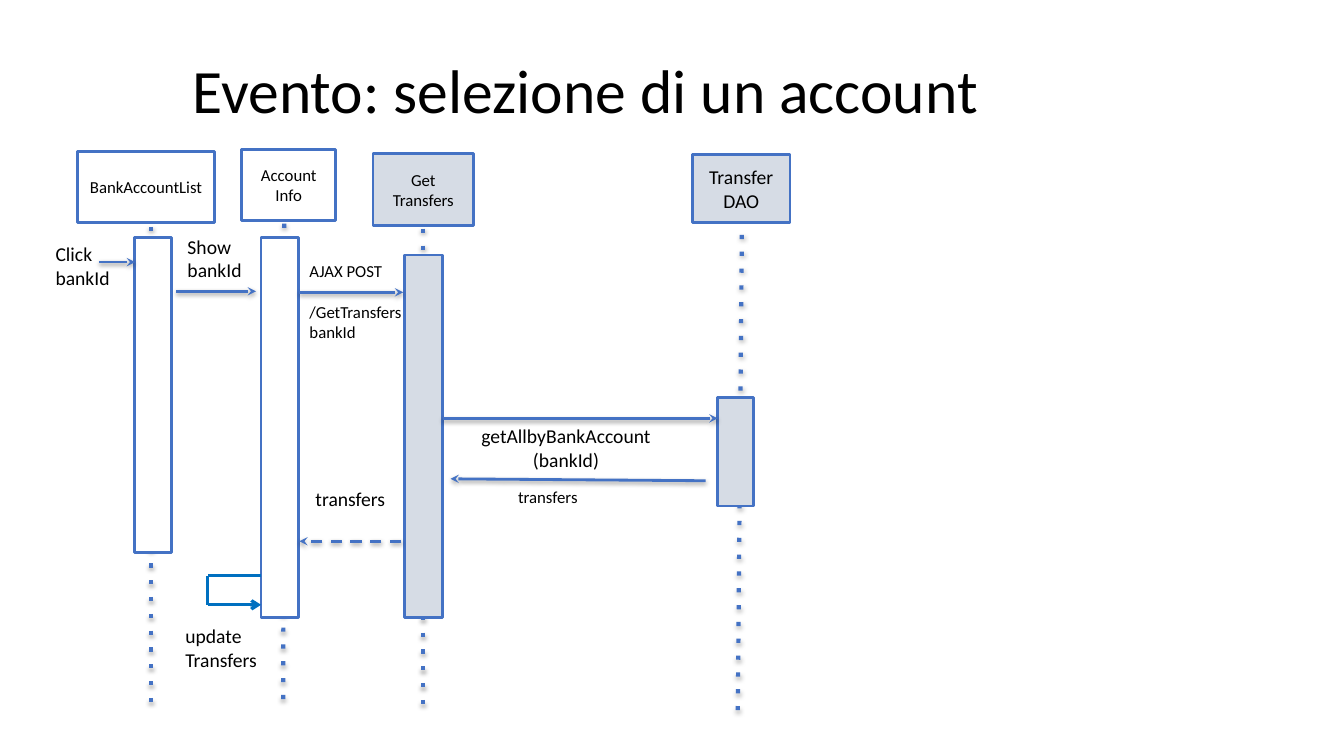
from dataclasses import dataclass

from lxml import etree
from pptx import Presentation
from pptx import util as u
from pptx.dml.color import RGBColor
from pptx.enum import shapes, text
from pptx.oxml.ns import qn


@dataclass(frozen=True)
class Theme:
    font: str = "Calibri"
    ink: str = "000000"
    line: str = "4472C4"
    loop: str = "0070C0"
    client: str = "FFFFFF"
    server: str = "D6DCE5"
    title: float = 44
    label: float = 14
    small: float = 12
    edge: float = 2
    lifeline: float = 3
    self_call: float = 2.25


FRAME = {
    "word_wrap": True,
    "auto_size": text.MSO_AUTO_SIZE.NONE,
    "margin_left": u.Pt(8.64),
    "margin_right": u.Pt(8.64),
    "margin_top": u.Pt(4.32),
    "margin_bottom": u.Pt(4.32),
}


def set_format(target, values):
    for name, value in values.items():
        setattr(target, name, value)


class SequenceDiagram:
    def __init__(self, page, theme):
        self.page = page
        self.theme = theme

    def fill_text(self, box, lines, size, align=text.PP_ALIGN.LEFT,
                  anchor=text.MSO_ANCHOR.TOP):
        frame = box.text_frame
        set_format(frame, FRAME | {"vertical_anchor": anchor})
        frame.text = "\n".join(lines)
        for para in frame.paragraphs:
            para.alignment = align
            set_format(para.font, {"name": self.theme.font, "size": u.Pt(size)})
            para.font.color.rgb = RGBColor.from_string(self.theme.ink)
        return frame.paragraphs

    def title(self, words, place):
        box = self.page.shapes.title
        set_format(box, dict(zip(("left", "top", "width", "height"),
                                 map(u.Pt, place))))
        paras = self.fill_text(box, [words], self.theme.title,
                               anchor=text.MSO_ANCHOR.MIDDLE)
        paras[0].line_spacing = 0.9

    def box(self, place, fill, words=None, size=None):
        box = self.page.shapes.add_shape(
            shapes.MSO_SHAPE.RECTANGLE, *map(u.Pt, place))
        box.shadow.inherit = False
        box.fill.solid()
        box.fill.fore_color.rgb = RGBColor.from_string(fill)
        box.line.color.rgb = RGBColor.from_string(self.theme.line)
        box.line.width = u.Pt(self.theme.edge)
        if words:
            self.fill_text(box, [words], size, text.PP_ALIGN.CENTER,
                           text.MSO_ANCHOR.MIDDLE)

    def label(self, place, lines, size, align=text.PP_ALIGN.LEFT):
        box = self.page.shapes.add_textbox(*map(u.Pt, place))
        return self.fill_text(box, lines, size, align)

    def line(self, start, end, color, width, dash=None, head=None, shadow=None):
        line = self.page.shapes.add_connector(
            shapes.MSO_CONNECTOR.STRAIGHT, *map(u.Pt, (*start, *end)))
        line.line.color.rgb = RGBColor.from_string(color)
        line.line.width = u.Pt(width)
        properties = line._element.spPr
        stroke = properties.find(qn("a:ln"))
        if dash:
            etree.SubElement(stroke, qn("a:prstDash"), val=dash)
        if head:
            etree.SubElement(stroke, qn("a:tailEnd"), type=head)
        effects = etree.SubElement(properties, qn("a:effectLst"))
        if shadow:
            distance, opacity = shadow
            outer = etree.SubElement(
                effects, qn("a:outerShdw"), blurRad=str(u.Pt(3.15)),
                dist=str(u.Pt(distance)), dir="5400000", rotWithShape="0")
            black = etree.SubElement(outer, qn("a:srgbClr"), val="000000")
            etree.SubElement(black, qn("a:alpha"), val=str(opacity * 1000))

    def lifeline(self, start, end):
        self.line(start, end, self.theme.line, self.theme.lifeline,
                  dash="dot", shadow=(1.8, 35))

    def message(self, start, end, dash=None):
        self.line(start, end, self.theme.line, self.theme.edge, dash=dash,
                  head="stealth", shadow=(1.6, 38))

    def self_message(self, right, left, top, bottom):
        corners = [(right, top), (left, top), (left, bottom), (right, bottom)]
        heads = (None, None, "arrow")
        for start, end, head in zip(corners, corners[1:], heads):
            self.line(start, end, self.theme.loop, self.theme.self_call, head=head)


def main():
    deck = Presentation()
    deck.slide_width, deck.slide_height = u.Pt(960), u.Pt(540)
    theme = Theme()
    page = deck.slides.add_slide(deck.slide_layouts.get_by_name("Title Only"))
    diagram = SequenceDiagram(page, theme)
    diagram.title("Evento: selezione di un account", (128.9, 21.6, 702, 90))

    # Participants: name, size, fill, head, lifeline ends, activation bar
    participants = [
        ("BankAccountList", theme.small, theme.client, (55.4, 108, 97.9, 51.1),
         (108, 162), (108, 510.5), (95.8, 169.9, 26.6, 224.6)),
        ("Account\vInfo", theme.small, theme.client, (172.8, 106.6, 67, 51.1),
         (203, 159.8), (202.3, 506.9), (186.5, 169.9, 26.6, 271.4)),
        ("Get Transfers", theme.small, theme.server, (266.4, 109.4, 72, 51.8),
         (302.4, 163.4), (302.4, 505.4), (288.7, 182.2, 27.4, 259.2)),
        ("TransferDAO", theme.label, theme.server, (494.6, 110.2, 69.8, 49),
         (529.9, 167.8), (527, 509.8), (512.6, 283.7, 25.9, 77.8)),
    ]
    for name, size, fill, head, start, end, bar in participants:
        diagram.lifeline(start, end)
        diagram.box(head, fill, name, size)
        diagram.box(bar, fill)

    # Messages
    diagram.message((70.6, 187.2), (96.5, 187.2))
    diagram.message((126, 208.1), (182.9, 208.1))
    diagram.message((213.8, 208.8), (288, 208.8))
    diagram.message((316.1, 298.8), (512.6, 298.8))
    diagram.message((504, 343.4), (321.8, 342))
    diagram.message((286.6, 386.6), (213.8, 386.6), dash="dash")
    diagram.self_message(186.5, 148.3, 411.1, 432)

    # Message labels
    diagram.label((31, 168.5, 78.5, 35.3), ["Click bankId"], theme.label)
    diagram.label((125.3, 163.4, 81.4, 47.5), ["Show bankId"], theme.label)
    request = diagram.label((212.4, 182.2, 85, 75.6),
                            ["AJAX POST", "/GetTransfers", "bankId"], theme.small)
    request[1].space_before = u.Pt(14.5)
    query = diagram.label((262.1, 298.8, 212.4, 28.1),
                          ["getAllbyBankAccount(bankId)"], theme.label,
                          text.PP_ALIGN.CENTER)
    query[0].level = 2
    query[0]._p.get_or_add_pPr().set("marL", str(u.Pt(72)))
    diagram.label((361.4, 343.4, 77.8, 24.5), ["transfers"], theme.small)
    diagram.label((216.7, 343.4, 75.6, 56.2), ["transfers"], theme.label)
    diagram.label((123.8, 441.4, 77, 24.5), ["update Transfers"], theme.label)

    deck.save("out.pptx")


if __name__ == "__main__":
    main()
